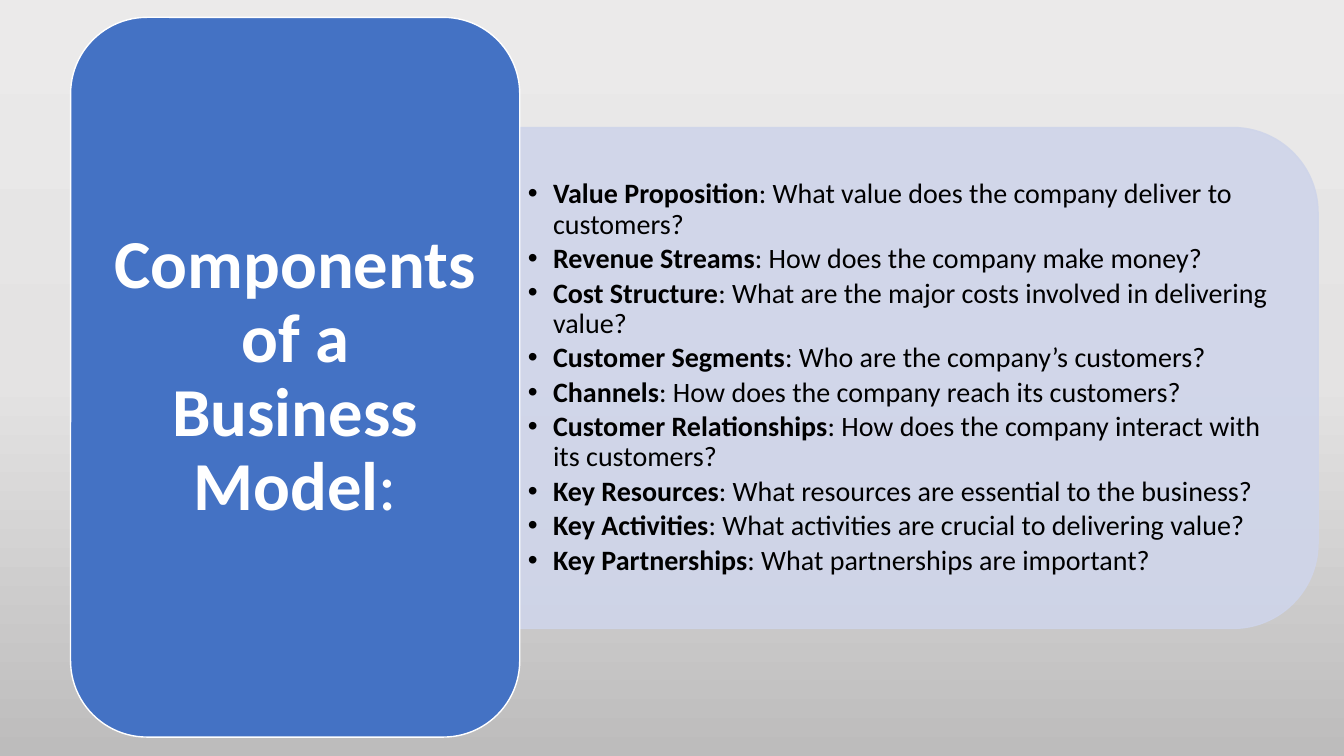
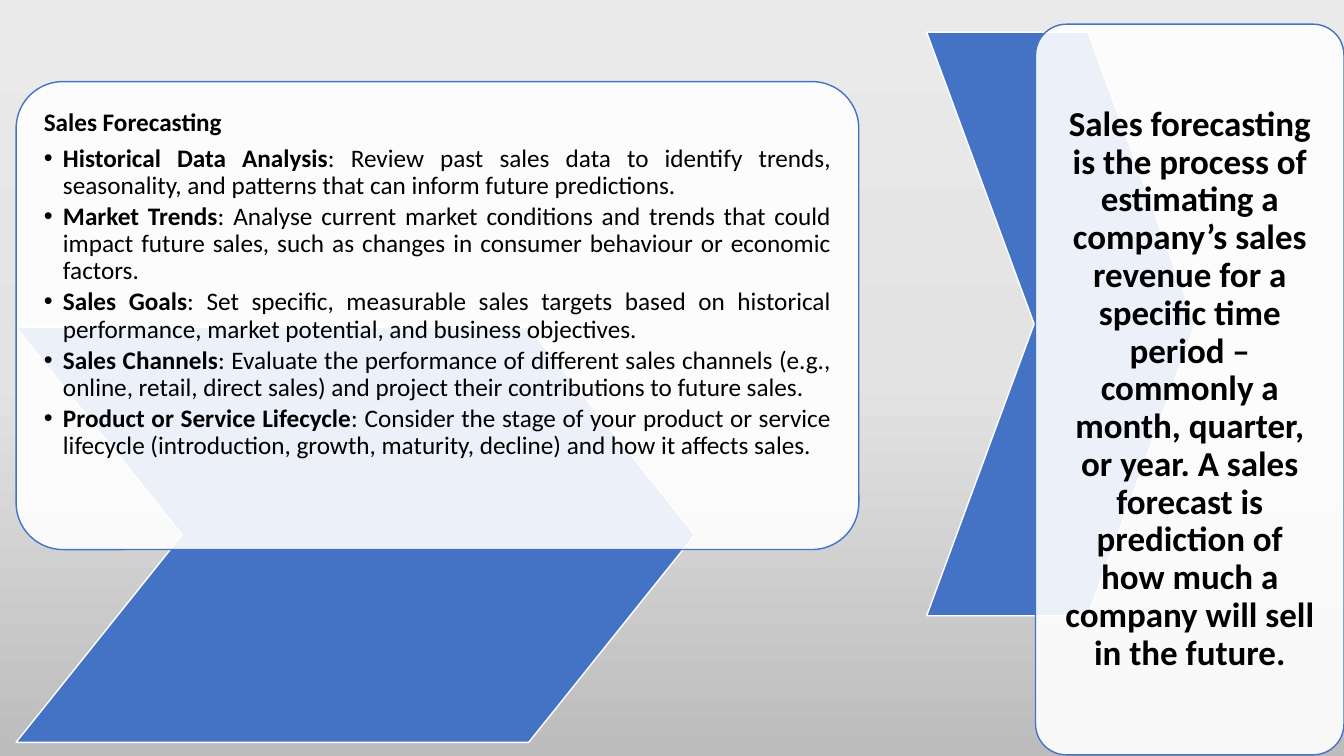
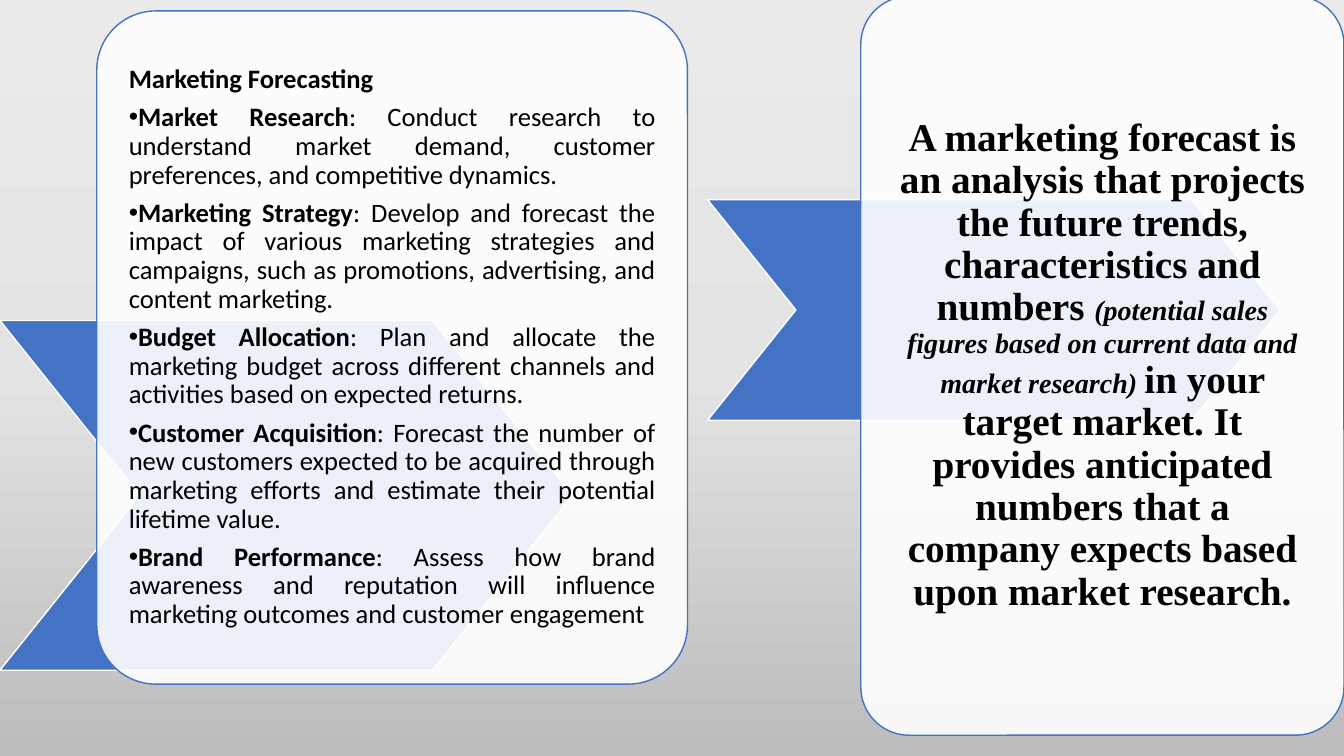
"""Build three slides on business models and forecasting."""
import copy
import dataclasses

import pptx
import pptx.dml.color
import pptx.enum.shapes
import pptx.enum.text
import pptx.oxml.ns
import pptx.util

SHAPE = pptx.enum.shapes.MSO_SHAPE
ALIGN = pptx.enum.text.PP_ALIGN
ANCHOR = pptx.enum.text.MSO_ANCHOR
Pt = pptx.util.Pt
Inches = pptx.util.Inches
qn = pptx.oxml.ns.qn


@dataclasses.dataclass(frozen=True)
class Theme:
    """Colours, fonts, type sizes and spacing shared by the slides."""
    blue: str = "4472C4"
    white: str = "FFFFFF"
    black: str = "000000"
    pale: str = "CFD5EA"
    backdrop: tuple = ((0, "EBEAEA"), (0.5, "E4E3E3"), (1, "BDBCBC"))
    font: str = "Calibri"
    serif: str = "Times New Roman"
    panel_title: int = 49
    panel_list: int = 20
    sales_list: int = 18
    sales_quote: int = 25
    marketing_list: int = 19
    marketing_quote: int = 28
    marketing_aside: int = 20
    line_spacing: float = 0.9
    tight: float = 0.15
    loose: float = 0.35
    card_pad: tuple = (0.56, 0.56)
    panel_pad: tuple = (0.29, 0.15)
    card_corner: float = 0.1
    panel_corner: float = 0.17
    chevron_point: float = 0.4
    opacity: int = 90


def rgb(colour):
    """Turn a hex string into a colour."""
    return pptx.dml.color.RGBColor.from_string(colour)


class Deck:
    """Hold the theme and the current slide, and draw each kind of element."""

    def __init__(self, theme):
        """Start a wide presentation with the shared gradient backdrop."""
        self.theme = theme
        self.prs = pptx.Presentation()
        self.prs.slide_width = Inches(13.33)
        self.prs.slide_height = Inches(7.5)
        master = self.prs.slide_master
        fill = master.background.fill
        fill.gradient()
        fill.gradient_angle = 270
        stops = master.element.find(".//" + qn("a:gsLst"))
        stops.insert(1, copy.deepcopy(stops[0]))
        for stop, (position, colour) in zip(fill.gradient_stops, theme.backdrop):
            stop.position = position
            stop.color.rgb = rgb(colour)

    def new_slide(self):
        """Add a title and content slide and make it current."""
        self.s = self.prs.slides.add_slide(self.prs.slide_layouts[1])

    def box(self, left, top, width, height):
        """Convert percentages of the slide into lengths."""
        w, h = self.prs.slide_width / 100, self.prs.slide_height / 100
        return round(left * w), round(top * h), round(width * w), round(height * h)

    def shape(self, kind, box, fill, line, adjust, opacity=100):
        """Draw a filled preset shape with a thin outline."""
        sp = self.s.shapes.add_shape(kind, *box)
        sp.shadow.inherit = False
        sp.adjustments[0] = adjust
        sp.fill.solid()
        sp.fill.fore_color.rgb = rgb(fill)
        sp.line.color.rgb = rgb(line)
        sp.line.width = Pt(1)
        if opacity < 100:
            for colour in sp.element.spPr.iter(qn("a:srgbClr")):
                if colour.get("val") == fill:
                    alpha = colour.makeelement(qn("a:alpha"), {"val": str(opacity * 1000)})
                    colour.append(alpha)
        return sp

    def inner(self, box, corner):
        """Return the part of a rounded box that its corners leave free."""
        left, top, width, height = box
        inset = round(0.29 * corner * min(width, height))
        return left + inset, top + inset, width - 2 * inset, height - 2 * inset

    def chevron(self, *place):
        """Draw a blue chevron."""
        t = self.theme
        self.shape(SHAPE.CHEVRON, self.box(*place), t.blue, t.white, t.chevron_point)

    def card(self, *place):
        """Draw a translucent white card and return its text area."""
        t, box = self.theme, self.box(*place)
        self.shape(SHAPE.ROUNDED_RECTANGLE, box, t.white, t.blue, t.card_corner, t.opacity)
        return self.inner(box, t.card_corner)

    def title_panel(self, *place):
        """Draw a solid blue panel and return its text area."""
        t, box = self.theme, self.box(*place)
        self.shape(SHAPE.ROUNDED_RECTANGLE, box, t.blue, t.white, t.panel_corner)
        return self.inner(box, t.panel_corner)

    def side_panel(self, *place):
        """Draw a pale panel rounded on its right and return its text area."""
        t, box = self.theme, self.box(*place)
        left, top, width, height = box
        shift = (width - height) // 2
        turned = left + shift, top - shift, height, width
        sp = self.shape(SHAPE.ROUND_2_SAME_RECTANGLE, turned, t.pale, t.pale,
                        t.panel_corner, t.opacity)
        sp.rotation = 90
        x, y, w, h = self.inner(box, t.panel_corner)
        return left, y, w + x - left, h

    def place(self, sp, area, size, pad, anchor):
        """Move a placeholder to an area in front and return its text frame."""
        sp.left, sp.top, sp.width, sp.height = area
        sp.element.getparent().append(sp.element)
        tf = sp.text_frame
        tf.word_wrap = True
        tf.auto_size = pptx.enum.text.MSO_AUTO_SIZE.NONE
        tf.vertical_anchor = anchor
        tf.margin_left = tf.margin_right = Pt(round(size * pad[0], 2))
        tf.margin_top = tf.margin_bottom = Pt(round(size * pad[1], 2))
        return tf

    def paragraph(self, p, runs, size, colour, align, gap, font=None, bullet=False, indent=0):
        """Fill a paragraph with (text, bold, aside size) runs."""
        p.alignment = align
        p.line_spacing = self.theme.line_spacing
        p.space_before = Pt(0)
        p.space_after = Pt(round(size * gap, 2))
        pPr = p._p.get_or_add_pPr()
        pPr.set("marL", str(Inches(indent)))
        pPr.set("indent", str(-Inches(indent)))
        mark = ("a:buChar", {"char": "•"}) if bullet else ("a:buNone", {})
        pPr.append(pPr.makeelement(qn(mark[0]), mark[1]))
        for text, bold, *aside in runs:
            r = p.add_run()
            r.text = text
            r.font.name = font or self.theme.font
            r.font.size = Pt(aside[0] if aside else size)
            r.font.bold = bold
            r.font.italic = bool(aside)
            r.font.color.rgb = rgb(colour)

    def title(self, area, runs, size, colour, pad, font=None):
        """Set the slide title, centred in an area."""
        tf = self.place(self.s.shapes.title, area, size, pad, ANCHOR.MIDDLE)
        self.paragraph(tf.paragraphs[0], runs, size, colour, ALIGN.CENTER,
                       self.theme.loose, font)

    def bullets(self, area, items, size, pad, gap, indent=0, heading=None,
                align=ALIGN.JUSTIFY, anchor=ANCHOR.MIDDLE):
        """Set the slide body: an optional heading and bullets with bold leads."""
        t = self.theme
        tf = self.place(self.s.placeholders[1], area, size, pad, anchor)
        p = tf.paragraphs[0]
        if heading:
            self.paragraph(p, [(heading, True)], size, t.black, ALIGN.LEFT, t.loose)
        for i, (lead, rest) in enumerate(items):
            if i or heading:
                p = tf.add_paragraph()
            runs = [(lead, True), (": " + rest, False)]
            self.paragraph(p, runs, size, t.black, align, gap, bullet=True, indent=indent)


COMPONENTS = [
    ("Value Proposition", "What value does the company deliver to customers?"),
    ("Revenue Streams", "How does the company make money?"),
    ("Cost Structure", "What are the major costs involved in delivering value?"),
    ("Customer Segments", "Who are the company’s customers?"),
    ("Channels", "How does the company reach its customers?"),
    ("Customer Relationships", "How does the company interact with its customers?"),
    ("Key Resources", "What resources are essential to the business?"),
    ("Key Activities", "What activities are crucial to delivering value?"),
    ("Key Partnerships", "What partnerships are important?"),
]
SALES = [
    ("Historical Data Analysis", "Review past sales data to identify trends, seasonality, "
     "and patterns that can inform future predictions."),
    ("Market Trends", "Analyse current market conditions and trends that could impact future "
     "sales, such as changes in consumer behaviour or economic factors."),
    ("Sales Goals", "Set specific, measurable sales targets based on historical performance, "
     "market potential, and business objectives."),
    ("Sales Channels", "Evaluate the performance of different sales channels (e.g., online, "
     "retail, direct sales) and project their contributions to future sales."),
    ("Product or Service Lifecycle", "Consider the stage of your product or service lifecycle "
     "(introduction, growth, maturity, decline) and how it affects sales."),
]
MARKETING = [
    ("Market Research", "Conduct research to understand market demand, customer preferences, "
     "and competitive dynamics."),
    ("Marketing Strategy", "Develop and forecast the impact of various marketing strategies "
     "and campaigns, such as promotions, advertising, and content marketing."),
    ("Budget Allocation", "Plan and allocate the marketing budget across different channels "
     "and activities based on expected returns."),
    ("Customer Acquisition", "Forecast the number of new customers expected to be acquired "
     "through marketing efforts and estimate their potential lifetime value."),
    ("Brand Performance", "Assess how brand awareness and reputation will influence marketing "
     "outcomes and customer engagement"),
]


def components_slide(deck):
    """Show the components of a business model."""
    t = deck.theme
    deck.new_slide()
    area = deck.side_panel(38.67, 16.87, 59.4, 66.27)
    deck.bullets(area, COMPONENTS, t.panel_list, t.panel_pad, t.tight, 0.25, align=ALIGN.LEFT)
    area = deck.title_panel(5.25, 2.3, 33.42, 95.2)
    runs = [("Components of a Business Model", True), (":", False)]
    deck.title(area, runs, t.panel_title, t.white, t.panel_pad)


def sales_slide(deck):
    """Show how sales are forecast."""
    t = deck.theme
    deck.new_slide()
    deck.chevron(1.2, 43.3, 50.5, 54.9)
    area = deck.card(1.2, 10.8, 62.7, 61.9)
    deck.bullets(area, SALES, t.sales_list, t.card_pad, t.tight, 0.19,
                 "Sales Forecasting", anchor=ANCHOR.TOP)
    deck.chevron(68.95, 4.25, 20, 77.2)
    area = deck.card(77.05, 3.2, 22.95, 96.65)
    runs = [("Sales forecasting is the process of estimating a company’s sales revenue for a "
             "specific time period – commonly a month, quarter, or year. A sales forecast is "
             "prediction of how much a company will sell in the future.", True)]
    deck.title(area, runs, t.sales_quote, t.black, t.card_pad)


def marketing_slide(deck):
    """Show how marketing is forecast."""
    t = deck.theme
    deck.new_slide()
    deck.chevron(0, 42.4, 42.6, 46.25)
    area = deck.card(7.2, 1.45, 43.95, 89.05)
    deck.bullets(area, MARKETING, t.marketing_list, t.card_pad, t.loose,
                 heading="Marketing Forecasting")
    deck.chevron(52.65, 26.4, 42.6, 29.2)
    area = deck.card(64.05, -0.5, 35.95, 97.75)
    runs = [
        ("A marketing forecast is an analysis that projects the future trends, "
         "characteristics and numbers ", True),
        ("(potential sales figures based on current data and market research) ", True,
         t.marketing_aside),
        ("in your target market. It provides anticipated numbers that a company expects "
         "based upon market research.", True),
    ]
    deck.title(area, runs, t.marketing_quote, t.black, t.card_pad, t.serif)


def main():
    """Build and save the presentation."""
    deck = Deck(Theme())
    components_slide(deck)
    sales_slide(deck)
    marketing_slide(deck)
    deck.prs.save("out.pptx")


if __name__ == "__main__":
    main()
